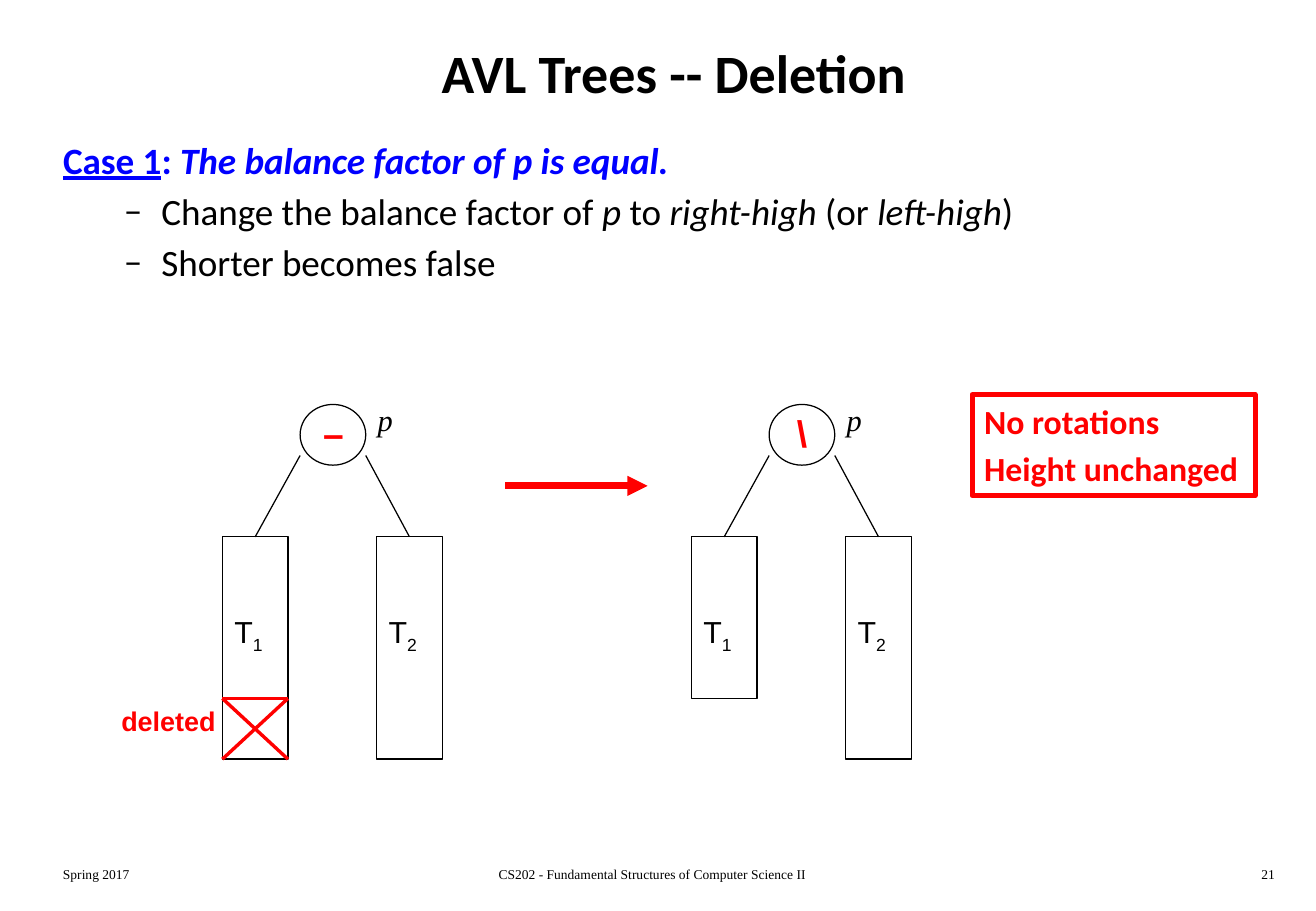
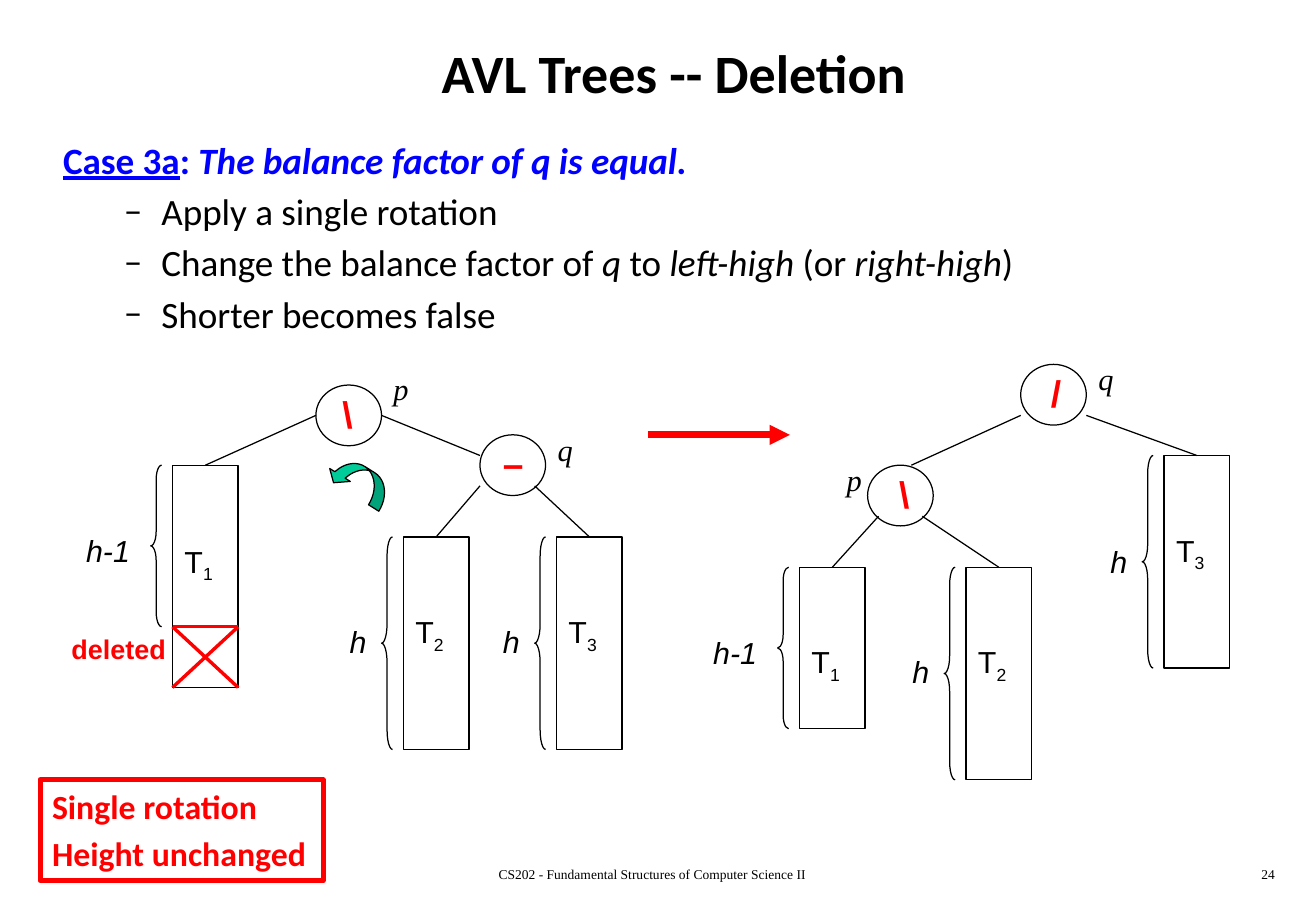
from dataclasses import dataclass

from lxml import etree
from pptx import Presentation
from pptx.dml.color import RGBColor
from pptx.enum.shapes import MSO_CONNECTOR, MSO_SHAPE
from pptx.enum.text import MSO_ANCHOR, PP_ALIGN
from pptx.oxml.ns import qn
from pptx.util import Inches, Pt

STRAIGHT = MSO_CONNECTOR.STRAIGHT
RECTANGLE, OVAL = MSO_SHAPE.RECTANGLE, MSO_SHAPE.OVAL
LEFT_BRACE, CURVED_LEFT = MSO_SHAPE.LEFT_BRACE, MSO_SHAPE.CURVED_LEFT_ARROW
TOP, MIDDLE = MSO_ANCHOR.TOP, MSO_ANCHOR.MIDDLE
LEFT, CENTER, RIGHT = PP_ALIGN.LEFT, PP_ALIGN.CENTER, PP_ALIGN.RIGHT

BLACK = RGBColor(0x00, 0x00, 0x00)
WHITE = RGBColor(0xFF, 0xFF, 0xFF)
RED = RGBColor(0xFF, 0x00, 0x00)
BLUE = RGBColor(0x00, 0x00, 0xFF)
GREEN = RGBColor(0x00, 0xCC, 0x99)

# Text formats
TITLE = {"name": "Calibri", "size": Pt(32), "bold": True, "color": BLACK}
CASE = {"name": "Calibri", "size": Pt(22), "bold": True, "color": BLUE}
STEP = {"name": "Calibri", "size": Pt(22), "bold": False, "color": BLACK}
CALLOUT = {"name": "Calibri", "size": Pt(20), "bold": True, "color": RED}
FOOTER = {"name": "Times New Roman", "size": Pt(8), "color": BLACK}
SIGN = {"name": "Arial", "size": Pt(22), "bold": True, "color": RED}
NODE_NAME = {"name": "Times New Roman", "size": Pt(18), "italic": True, "color": BLACK}
SUBTREE_NAME = {"name": "Arial", "size": Pt(18), "color": BLACK}
HEIGHT_NAME = {**SUBTREE_NAME, "italic": True}
DELETED = {"name": "Arial", "size": Pt(16), "bold": True, "color": RED}

COURSE = "CS202 - Fundamental Structures of Computer Science II"
NODE_WIDTH, NODE_HEIGHT = 0.54, 0.5
DELETED_HEIGHT = 0.5

Point = tuple[float, float]


@dataclass
class Node:
    x: float
    y: float
    sign: str
    sign_shift: float
    name: str
    name_at: Point


@dataclass
class Subtree:
    x: float
    y: float
    height: float
    number: int
    name_y: float
    parent: Point
    deleted: bool = False
    size: str = ""
    size_y: float = 0
    curl: float = 0


@dataclass
class Case:
    number: str
    statement: str
    steps: list[list[str]]  # plain and italic pieces take turns
    body_height: float
    nodes: list[Node]
    subtrees: list[Subtree]
    links: list[tuple[Point, Point]]
    arrow_from: Point
    outcome: str
    outcome_at: Point
    page: int
    term: str = ""
    rotates: bool = False


CASES = [
    Case(
        "Case 1", "The balance factor of p is equal.",
        [["Change the balance factor of ", "p", " to ", "right-high", " (or ", "left-high", ")"],
         ["Shorter becomes false"]],
        1.58,
        [Node(2.47, 3.33, "–", 0.09, "p", (3.01, 3.25)),
         Node(6.33, 3.33, "\\", 0.13, "p", (6.87, 3.25))],
        [Subtree(1.83, 4.42, 1.33, 1, 5, (2.47, 3.75), deleted=True),
         Subtree(3.1, 4.42, 1.83, 2, 5, (3.01, 3.75)),
         Subtree(5.69, 4.42, 1.33, 1, 5, (6.33, 3.75)),
         Subtree(6.96, 4.42, 1.83, 2, 5, (6.87, 3.75))],
        [], (4.16, 4), "No rotations", (8, 3.25), 21, term="Spring 2017",
    ),
    Case(
        "Case 3a", "The balance factor of q is equal.",
        [["Apply a single rotation"],
         ["Change the balance factor of ", "q ", "to ", "left-high", " (or ", "right-high", ")"],
         ["Shorter becomes false"]],
        1.75,
        [Node(2.6, 3.17, "\\", 0.12, "p", (3.14, 3)),
         Node(3.95, 3.58, "–", 0.09, "q", (4.49, 3.5)),
         Node(8.4, 3, "/", 0.15, "q", (8.94, 2.92)),
         Node(7.14, 3.83, "\\", 0.16, "p", (6.87, 3.75))],
        [Subtree(1.42, 3.83, 1.33, 1, 4.42, (2.6, 3.42), True, "h-1", 4.33, 1.33),
         Subtree(3.32, 4.42, 1.75, 2, 5, (3.95, 4), False, "h", 5.08, 1.75),
         Subtree(4.58, 4.42, 1.75, 3, 5, (4.4, 4), False, "h", 5.08, 1.75),
         Subtree(6.58, 4.67, 1.33, 1, 5.25, (7.23, 4.25), False, "h-1", 5.17, 1.23),
         Subtree(7.95, 4.67, 1.75, 2, 5.25, (7.59, 4.25), False, "h", 5.33, 1.62),
         Subtree(9.58, 3.75, 1.75, 3, 4.33, (8.94, 3.42), False, "h", 4.42, 1.62)],
        [((3.14, 3.42), (3.95, 3.75)), ((8.4, 3.42), (7.5, 3.83))],
        (5.33, 3.58), "Single rotation", (0.33, 6.42), 24, rotates=True,
    ),
]


# Drawing helpers
def style_font(font, style: dict) -> None:
    for key, value in style.items():
        if key == "color":
            font.color.rgb = value
        else:
            setattr(font, key, value)


def add_run(paragraph, words: str, style: dict):
    run = paragraph.add_run()
    run.text = words
    style_font(run.font, style)
    return run


def add_box(slide, x: float, y: float, width: float, height: float):
    frame = slide.shapes.add_textbox(*map(Inches, (x, y, width, height))).text_frame
    frame.word_wrap = True
    return frame


def add_label(slide, x: float, y: float, width: float, height: float,
              words: str, style: dict, align=LEFT):
    paragraph = add_box(slide, x, y, width, height).paragraphs[0]
    paragraph.alignment = align
    add_run(paragraph, words, style)
    return paragraph


def add_outline(slide, kind, x: float, y: float, width: float, height: float,
                color=BLACK, weight: float = 0.75, fill=None):
    shape = slide.shapes.add_shape(kind, *map(Inches, (x, y, width, height)))
    shape.shadow.inherit = False
    if fill is None:
        shape.fill.background()
    else:
        shape.fill.solid()
        shape.fill.fore_color.rgb = fill
    shape.line.color.rgb = color
    shape.line.width = Pt(weight)
    return shape


def add_line(slide, start: Point, end: Point, color=BLACK,
             weight: float = 0.75, arrow: bool = False) -> None:
    line = slide.shapes.add_connector(STRAIGHT, *map(Inches, (*start, *end)))
    line.line.color.rgb = color
    line.line.width = Pt(weight)
    if arrow:
        etree.SubElement(line.line._get_or_add_ln(), qn("a:tailEnd"), type="triangle")
    etree.SubElement(line._element.spPr, qn("a:effectLst"))


def set_indent(paragraph, margin: float, hanging: float, bullet: str = "") -> None:
    properties = paragraph._p.get_or_add_pPr()
    properties.set("marL", str(Inches(margin)))
    properties.set("indent", str(-Inches(hanging)))
    if bullet:
        etree.SubElement(properties, qn("a:buFont"), typeface="Calibri")
        etree.SubElement(properties, qn("a:buChar"), char=bullet)


# Parts of a slide
def draw_title(slide) -> None:
    title = slide.shapes.title
    frame = title.text_frame
    for key, value in {"left": 0.42, "top": 0.17, "width": 10.25, "height": 0.84}.items():
        setattr(title, key, Inches(value))
    frame.vertical_anchor = MIDDLE
    frame.paragraphs[0].alignment = CENTER
    add_run(frame.paragraphs[0], "AVL Trees -- Deletion", TITLE)


def draw_body(slide, case: Case) -> None:
    body = add_box(slide, 0.42, 1.08, 9.08, case.body_height)
    heading = body.paragraphs[0]
    set_indent(heading, 0.38, 0.38)
    add_run(heading, case.number, {**CASE, "underline": True})
    add_run(heading, ": ", CASE)
    add_run(heading, case.statement, {**CASE, "italic": True})
    for pieces in case.steps:
        step = body.add_paragraph()
        step.level = 1
        step.space_before = Pt(4)
        set_indent(step, 0.81, 0.31, "–")
        for index, piece in enumerate(pieces):
            add_run(step, piece, {**STEP, "italic": index % 2 == 1})


def draw_footer(slide, case: Case) -> None:
    for x, width, words, align in ((0.42, 2.26, case.term, LEFT),
                                   (3.34, 4.06, COURSE, CENTER),
                                   (8.33, 2.26, str(case.page), RIGHT)):
        if words:
            add_label(slide, x, 7.08, width, 0.25, words, FOOTER, align)


def draw_node(slide, node: Node) -> None:
    add_outline(slide, OVAL, node.x, node.y, NODE_WIDTH, NODE_HEIGHT)
    add_label(slide, node.x + node.sign_shift, node.y, 0.45, 0.47, node.sign, SIGN)
    add_label(slide, *node.name_at, 0.63, 0.4, node.name, NODE_NAME)


def draw_subtree(slide, tree: Subtree) -> None:
    left, right, cut = tree.x, tree.x + NODE_WIDTH, tree.y + tree.height
    bottom = cut + DELETED_HEIGHT if tree.deleted else cut
    add_outline(slide, RECTANGLE, left, tree.y, NODE_WIDTH, bottom - tree.y)
    add_line(slide, tree.parent, (left + NODE_WIDTH / 2, tree.y))
    if tree.deleted:
        for start, end in (((left, cut), (right, cut)), ((left, cut), (right, bottom)),
                           ((right, cut), (left, bottom))):
            add_line(slide, start, end, RED, 2)
        add_label(slide, left - 0.93, cut, 1.26, 0.37, "deleted", DELETED)
    name = add_label(slide, left, tree.name_y, NODE_WIDTH, 0.4, "T", SUBTREE_NAME)
    subscript = add_run(name, str(tree.number), SUBTREE_NAME)
    subscript._r.get_or_add_rPr().set("baseline", "-25000")
    if tree.size:
        brace = add_outline(slide, LEFT_BRACE, left - 0.18, tree.y, 0.09, tree.height)
        brace.adjustments[0] = tree.curl
        shift, width = (0.54, 0.54) if tree.size == "h" else (0.81, 0.99)
        add_label(slide, left - shift, tree.size_y, width, 0.4, tree.size, HEIGHT_NAME)


def draw_rotation(slide) -> None:
    turn = add_outline(slide, CURVED_LEFT, 2.83, 3.69, 0.25, 0.54, fill=GREEN)
    for index, value in enumerate((0.4, 0.8, 0.33)):
        turn.adjustments[index] = value
    turn.rotation = 302.2
    turn._element.spPr.xfrm.set("flipV", "1")


def draw_outcome(slide, case: Case) -> None:
    frame = add_outline(slide, RECTANGLE, *case.outcome_at, 2.33, 0.83, RED, 3, WHITE).text_frame
    frame.vertical_anchor = TOP
    frame.word_wrap = True
    for index, words in enumerate((case.outcome, "Height unchanged")):
        paragraph = frame.add_paragraph() if index else frame.paragraphs[0]
        paragraph.alignment = LEFT
        paragraph.space_before = Pt(4 * index)
        add_run(paragraph, words, CALLOUT)


def draw_case(deck, case: Case) -> None:
    slide = deck.slides.add_slide(deck.slide_layouts.get_by_name("Title Only"))
    draw_title(slide)
    draw_body(slide, case)
    draw_footer(slide, case)
    for node in case.nodes:
        draw_node(slide, node)
    for tree in case.subtrees:
        draw_subtree(slide, tree)
    for start, end in case.links:
        add_line(slide, start, end)
    if case.rotates:
        draw_rotation(slide)
    x, y = case.arrow_from
    add_line(slide, (x, y), (x + 1.17, y), RED, 4, arrow=True)
    draw_outcome(slide, case)


deck = Presentation()
deck.slide_width, deck.slide_height = Inches(10.83), Inches(7.5)
for case in CASES:
    draw_case(deck, case)
deck.save("out.pptx")
